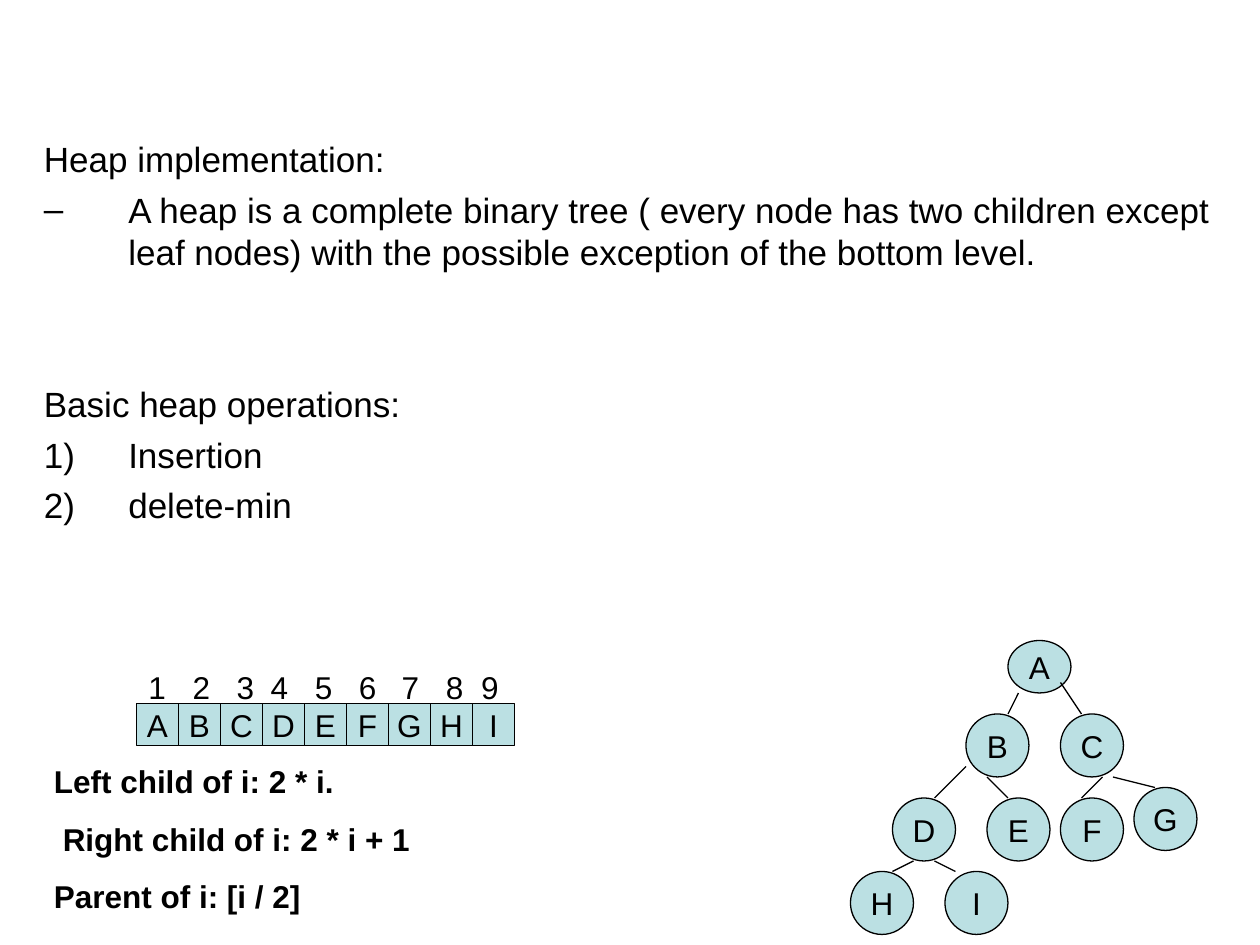
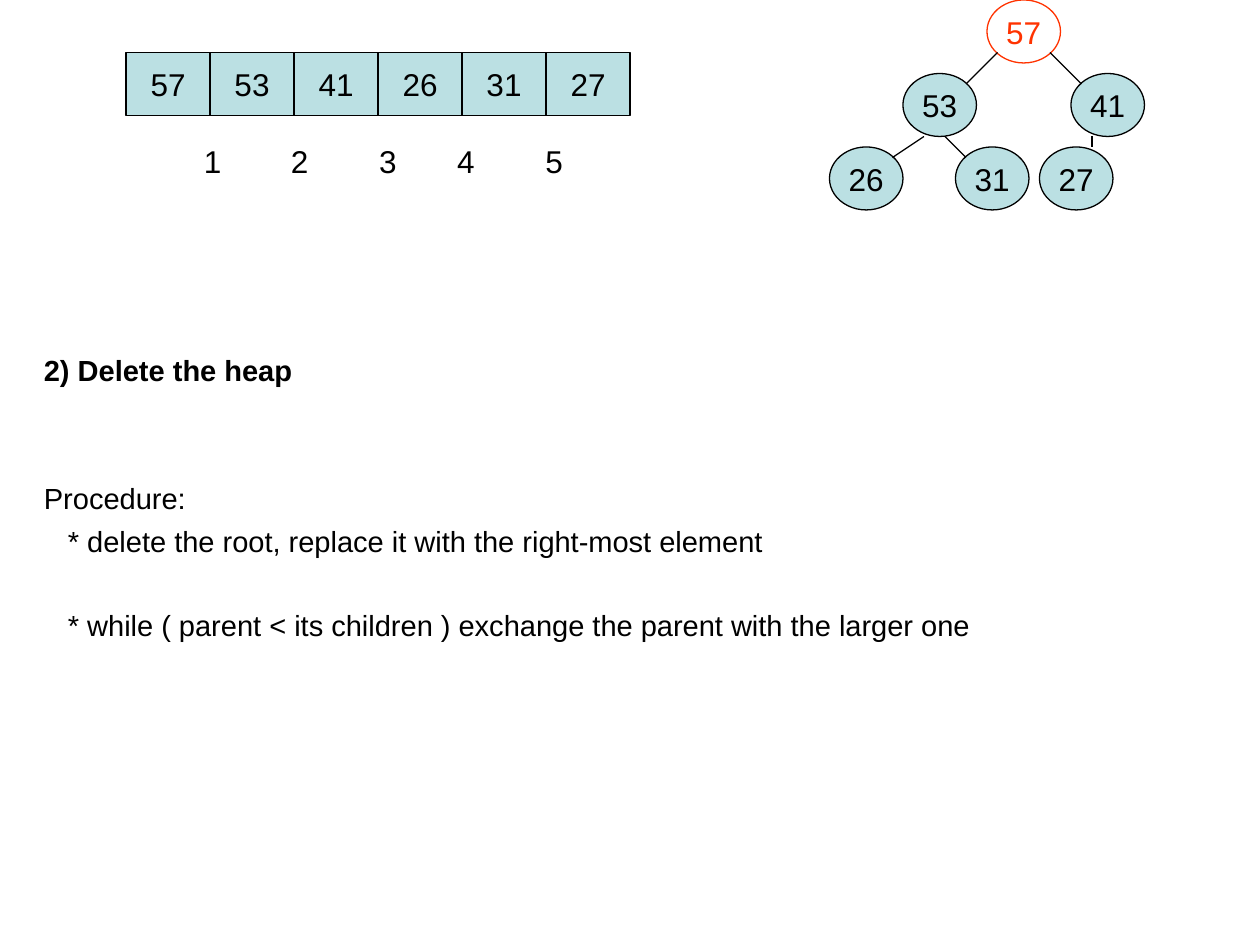
import dataclasses

import lxml.etree
import pptx
import pptx.dml.color
import pptx.enum.shapes
import pptx.enum.text
import pptx.oxml.ns
import pptx.util

Inches = pptx.util.Inches
SHAPES = pptx.enum.shapes.MSO_SHAPE


@dataclasses.dataclass(frozen=True)
class Theme:
    font: str = "Arial"
    ink: str = "000000"
    node_fill: str = "BBE0E3"
    accent: str = "FF3300"
    outline: float = 0.75
    label_size: float = 18
    heap_size: float = 20
    delete_size: float = 16.6


THEME = Theme()
HANGING = 0.67


def grid(units):
    return Inches(units / 12)


def color(value):
    return pptx.dml.color.RGBColor.from_string(value)


def add_xml(parent, tag, **attributes):
    name = pptx.oxml.ns.qn(tag)
    return lxml.etree.SubElement(parent, name, attributes)


def format_object(target, values):
    for name, value in values.items():
        setattr(target, name, value)


def write_run(paragraph, text, size, ink=THEME.ink, bold=False):
    run = paragraph.add_run()
    run.text = text
    format_object(run.font, {"name": THEME.font, "size": pptx.util.Pt(size), "bold": bold})
    run.font.color.rgb = color(ink)


def add_bullet(paragraph, bullet):
    properties = paragraph._p.get_or_add_pPr()
    properties.set("marL", str(Inches(HANGING)))
    properties.set("indent", str(-Inches(HANGING)))
    add_xml(properties, "a:buFont", typeface=THEME.font)
    if bullet == "number":
        add_xml(properties, "a:buAutoNum", type="arabicParenR")
    else:
        add_xml(properties, "a:buChar", char=bullet)


def add_text(slide, box, paragraphs, size, top_inset=0.05):
    frame = slide.shapes.add_textbox(*map(Inches, box)).text_frame
    format_object(frame, {"word_wrap": True, "margin_top": Inches(top_inset)})
    for index, (text, values) in enumerate(paragraphs):
        paragraph = frame.paragraphs[0] if index == 0 else frame.add_paragraph()
        paragraph.space_before = pptx.util.Pt(values.get("before", 0))
        if "bullet" in values:
            add_bullet(paragraph, values["bullet"])
        if "indent" in values:
            paragraph._p.get_or_add_pPr().set("marL", str(Inches(values["indent"])))
        write_run(paragraph, text, size, bold=values.get("bold", False))
    return frame


def add_node(slide, kind, box, text, ink=THEME.ink, filled=True):
    shape = slide.shapes.add_shape(kind, *map(grid, box))
    shape.shadow.inherit = False
    if filled:
        shape.fill.solid()
        shape.fill.fore_color.rgb = color(THEME.node_fill)
    else:
        shape.fill.background()
    shape.line.color.rgb = color(ink)
    shape.line.width = pptx.util.Pt(THEME.outline)
    frame = shape.text_frame
    format_object(frame, {
        "word_wrap": False,
        "vertical_anchor": pptx.enum.text.MSO_ANCHOR.MIDDLE,
    })
    frame.paragraphs[0].alignment = pptx.enum.text.PP_ALIGN.CENTER
    write_run(frame.paragraphs[0], text, THEME.label_size, ink)


def add_edge(slide, start, end):
    connector = slide.shapes.add_connector(
        pptx.enum.shapes.MSO_CONNECTOR.STRAIGHT, *map(grid, start + end))
    connector.line.color.rgb = color(THEME.ink)
    connector.line.width = pptx.util.Pt(THEME.outline)
    add_xml(connector._element.spPr, "a:effectLst")


def add_tree(slide, origin, node_size, nodes, edges, highlighted=None):
    left, top = origin
    for label, (x, y, *own_size) in nodes.items():
        box = (left + x, top + y, *(own_size or node_size))
        if label == highlighted:
            add_node(slide, SHAPES.OVAL, box, label, THEME.accent, False)
        else:
            add_node(slide, SHAPES.OVAL, box, label)
    for x1, y1, x2, y2 in edges:
        add_edge(slide, (left + x1, top + y1), (left + x2, top + y2))


def add_array(slide, origin, cell_size, values):
    left, top = origin
    width, height = cell_size
    for index, value in enumerate(values):
        add_node(slide, SHAPES.RECTANGLE, (left + index * width, top, width, height), value)


def add_indexes(slide, box, text, stops):
    frame = add_text(slide, box, [(text, {})], THEME.label_size)
    tab_list = add_xml(frame.paragraphs[0]._p.get_or_add_pPr(), "a:tabLst")
    for stop in stops:
        add_xml(tab_list, "a:tab", pos=str(Inches(stop)), algn="l")


def build_heap_slide(slide):
    add_text(slide, (0.25, 0.67, 9.5, 4), [
        ("Heap implementation:", {}),
        ("A heap is a complete binary tree ( every node has two children except "
         "leaf nodes) with the possible exception of the bottom level.",
         {"before": 5, "bullet": "–"}),
        ("Basic heap operations:", {"before": 63}),
        ("Insertion", {"before": 5, "bullet": "number"}),
        ("delete-min", {"before": 5, "bullet": "number"}),
    ], THEME.heap_size, top_inset=0.42)
    add_indexes(slide, (1.08, 5.25, 3.08, 0.4), "\t".join("123456789"),
                (0.35, 0.7, 0.97, 1.32, 1.67, 2.01, 2.36, 2.64))
    add_array(slide, (13, 67), (4, 4), "ABCDEFGHI")
    add_text(slide, (0.33, 6, 5.33, 1.32), [
        ("Left child of i: 2 * i.", {"bold": True}),
        ("Right child of i: 2 * i + 1", {"bold": True, "before": 11.2, "indent": 0.07}),
        ("Parent of i: [i / 2]", {"bold": True, "before": 11.2}),
    ], THEME.label_size)
    nodes = {
        "A": (15, 0, 6, 5), "B": (11, 7), "C": (20, 7),
        "D": (4, 15), "E": (13, 15), "F": (20, 15), "G": (27, 14),
        "H": (0, 22), "I": (9, 22),
    }
    edges = [
        (16, 5, 15, 7), (20, 4, 22, 7),
        (11, 12, 8, 15), (13, 13, 15, 15), (24, 13, 22, 15), (25, 13, 29, 14),
        (6, 21, 4, 22), (8, 21, 10, 22),
    ]
    add_tree(slide, (81, 61), (6, 6), nodes, edges)


def build_delete_slide(slide):
    add_text(slide, (0.25, 2.75, 9.75, 3.08), [
        ("2) Delete the heap", {"bold": True}),
        ("Procedure:", {"before": 53}),
        ("* delete the root, replace it with the right-most element",
         {"before": 4.5, "indent": 0.19}),
        ("* while ( parent < its children ) exchange the parent with the larger one",
         {"before": 28.5, "indent": 0.19}),
    ], THEME.delete_size)
    add_array(slide, (12, 5), (8, 6), ("57", "53", "41", "26", "31", "27"))
    nodes = {
        "57": (15, 0), "53": (7, 7), "41": (23, 7),
        "26": (0, 14), "31": (12, 14), "27": (20, 14),
    }
    edges = [
        (16, 5, 13, 8), (21, 5, 24, 8),
        (9, 13, 6, 15), (11, 13, 13, 15), (25, 13, 25, 14),
    ]
    add_tree(slide, (79, 0), (7, 6), nodes, edges, highlighted="57")
    add_indexes(slide, (1.17, 1.08, 3.83, 0.4), "\t" + "\t".join("12345"),
                (0.35, 1.04, 1.74, 2.36, 3.06))


def main():
    presentation = pptx.Presentation()
    presentation.slide_width = Inches(10)
    presentation.slide_height = Inches(7.5)
    blank_layout = presentation.slide_layouts[6]
    for build in (build_heap_slide, build_delete_slide):
        build(presentation.slides.add_slide(blank_layout))
    presentation.save("out.pptx")


if __name__ == "__main__":
    main()
